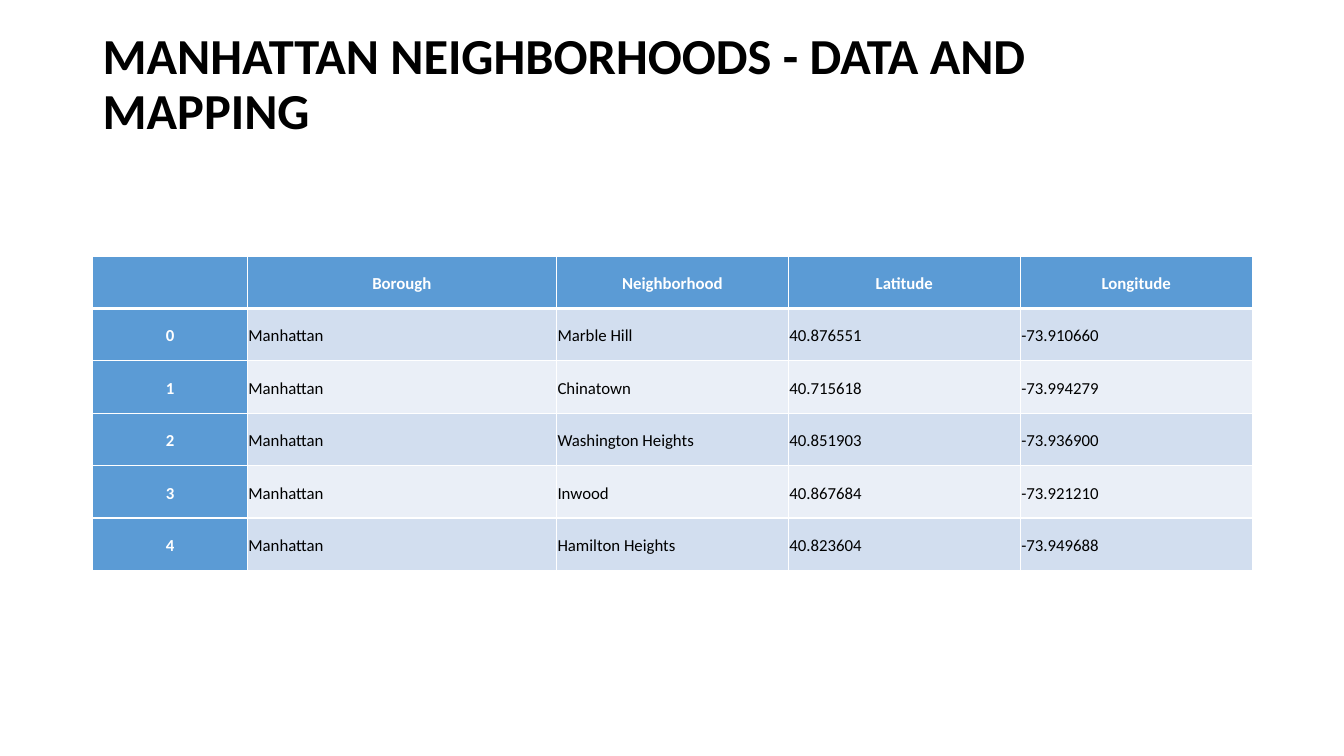
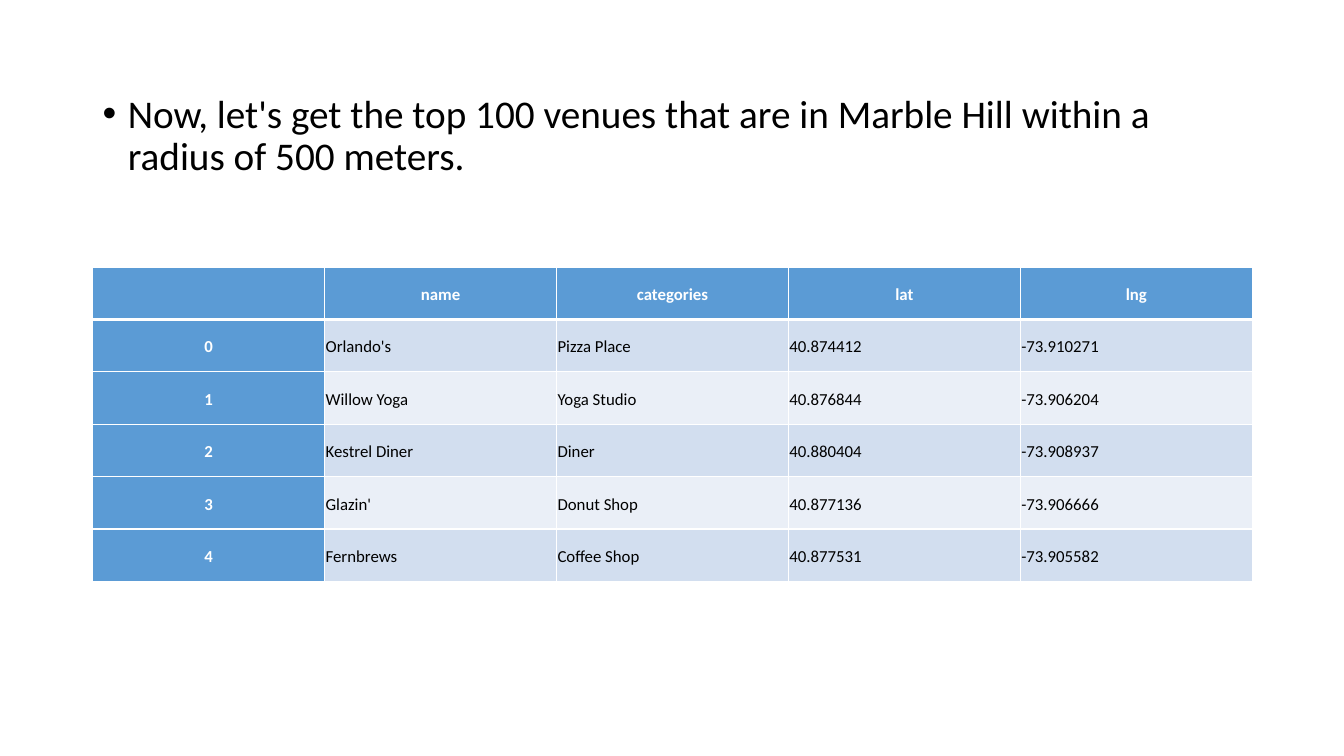
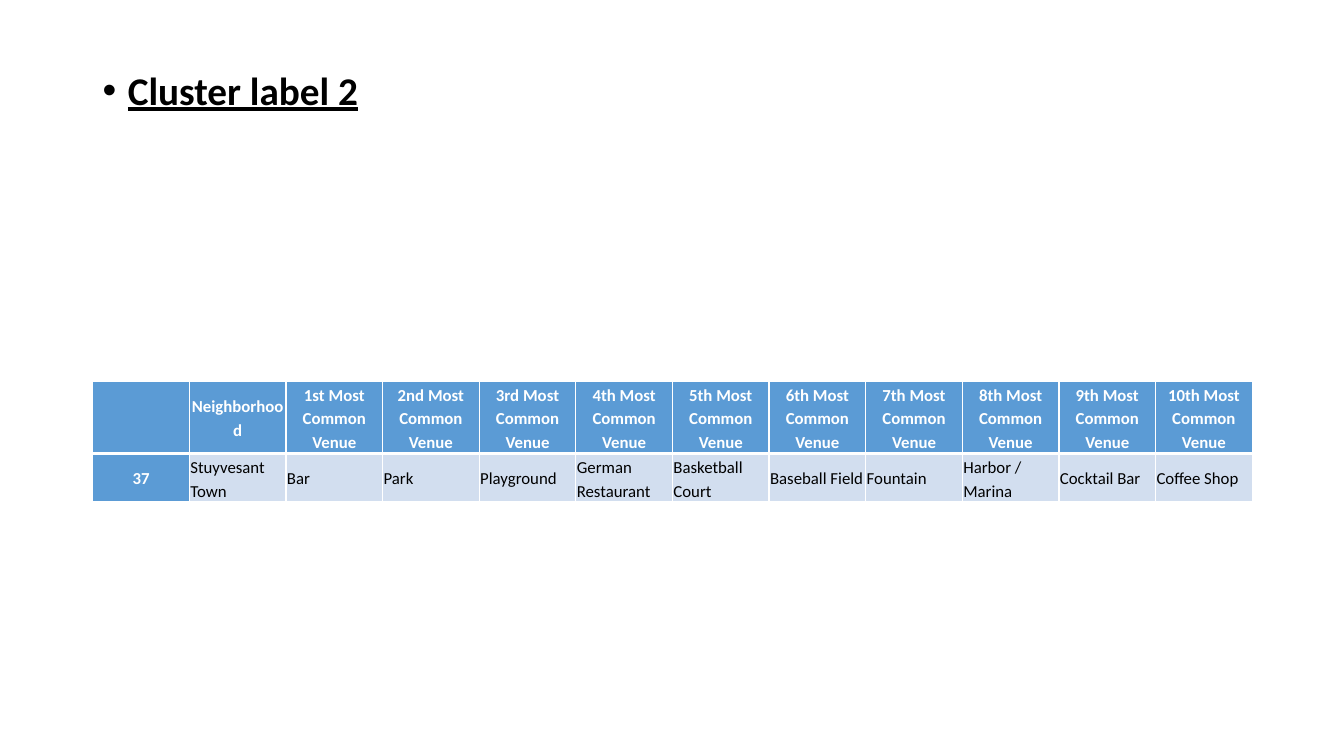
from dataclasses import dataclass

from lxml import etree
from pptx import Presentation
from pptx.dml.color import RGBColor
from pptx.enum.text import MSO_ANCHOR, PP_ALIGN
from pptx.oxml.ns import qn
from pptx.slide import Slide
from pptx.table import _Cell
from pptx.util import Inches, Pt

MIDDLE, TOP = MSO_ANCHOR.MIDDLE, MSO_ANCHOR.TOP
CENTER, LEFT = PP_ALIGN.CENTER, PP_ALIGN.LEFT
COLORS = {"head": "5B9BD5", "odd": "D2DEEF", "even": "EAEFF7",
          "line": "FFFFFF", "light": "FFFFFF", "dark": "000000"}
FONT = "Calibri"
EDGE, WIDTH = 0.92, 11.5
THIN, THICK = 1, 3


@dataclass
class Label:
    """Heading or bullet above a table."""
    text: str
    top: float
    height: float
    size: int = 28
    bold: bool = False
    under: bool = False
    bullet: bool = True


@dataclass
class Grid:
    """Table whose first row and first column are headers."""
    top: float
    shares: list[int]
    heights: list[float]
    rows: list[list[str]]


def style(para, size: int, color: str, bold: bool, under: bool = False) -> None:
    """Format every run of a paragraph."""
    for run in para.runs:
        font = run.font
        font.name, font.size, font.bold = FONT, Pt(size), bold
        font.color.rgb = RGBColor.from_string(COLORS[color])
        if under:
            font.underline = True


def add_label(slide: Slide, label: Label) -> None:
    """Draw a heading or a bullet line."""
    box = slide.shapes.add_textbox(Inches(EDGE), Inches(label.top),
                                   Inches(WIDTH), Inches(label.height))
    frame = box.text_frame
    frame.word_wrap = True
    frame.text = label.text
    para = frame.paragraphs[0]
    para.line_spacing = 0.9
    style(para, label.size, "dark", label.bold, label.under)
    if label.bullet:
        frame.vertical_anchor = TOP
        para.space_before = Pt(10)
        props = para._p.get_or_add_pPr()
        props.set("marL", str(Inches(0.25)))
        props.set("indent", str(Inches(-0.25)))
        etree.SubElement(props, qn("a:buFont")).set("typeface", "Arial")
        etree.SubElement(props, qn("a:buChar")).set("char", "•")
    else:
        frame.vertical_anchor = MIDDLE
        frame.margin_bottom = Inches(0.6)


def add_lines(cell: _Cell, row: int) -> None:
    """Border a cell, with a thick rule under the header row."""
    widths = {"L": THIN, "R": THIN,
              "T": THICK if row == 1 else THIN,
              "B": THICK if row == 0 else THIN}
    props = cell._tc.get_or_add_tcPr()
    for side, width in widths.items():
        line = etree.SubElement(props, qn(f"a:ln{side}"), w=str(Pt(width)))
        fill = etree.SubElement(line, qn("a:solidFill"))
        etree.SubElement(fill, qn("a:srgbClr"), val=COLORS["line"])


def fill_cell(cell: _Cell, text: str, row: int, col: int) -> None:
    """Write and format one cell by its place in the table."""
    head = row == 0 or col == 0
    band = "head" if head else "odd" if row % 2 else "even"
    add_lines(cell, row)
    cell.fill.solid()
    cell.fill.fore_color.rgb = RGBColor.from_string(COLORS[band])
    cell.vertical_anchor = MIDDLE
    cell.margin_left = cell.margin_right = Inches(0.01)
    cell.margin_top = cell.margin_bottom = Inches(0.01)
    cell.text = text
    para = cell.text_frame.paragraphs[0]
    para.alignment = CENTER if head else LEFT
    para.line_spacing = 1.15
    style(para, 12, "light" if head else "dark", head)


def add_grid(slide: Slide, grid: Grid) -> None:
    """Draw a table with columns sized by their shares."""
    table = slide.shapes.add_table(
        len(grid.rows), len(grid.shares), Inches(EDGE), Inches(grid.top),
        Inches(WIDTH), Inches(sum(grid.heights))).table
    for col, share in zip(table.columns, grid.shares):
        col.width = Inches(WIDTH * share / sum(grid.shares))
    for row, height in zip(table.rows, grid.heights):
        row.height = Inches(height)
    for r, texts in enumerate(grid.rows):
        for c, text in enumerate(texts):
            fill_cell(table.cell(r, c), text, r, c)


RANKS = ["1st", "2nd", "3rd"] + [f"{n}th" for n in range(4, 11)]

PAGES = [
    (Label("MANHATTAN NEIGHBORHOODS - DATA AND MAPPING", 0.4, 1.45,
           size=36, bold=True, bullet=False),
     Grid(2.54, [2, 4, 3, 3, 3], [0.52] * 6, [
         ["", "Borough", "Neighborhood", "Latitude", "Longitude"],
         ["0", "Manhattan", "Marble Hill", "40.876551", "-73.910660"],
         ["1", "Manhattan", "Chinatown", "40.715618", "-73.994279"],
         ["2", "Manhattan", "Washington Heights", "40.851903", "-73.936900"],
         ["3", "Manhattan", "Inwood", "40.867684", "-73.921210"],
         ["4", "Manhattan", "Hamilton Heights", "40.823604", "-73.949688"],
     ])),
    (Label("Now, let's get the top 100 venues that are in Marble Hill "
           "within a radius of 500 meters.", 0.89, 5.87),
     Grid(2.65, [1] * 5, [0.52] * 6, [
         ["", "name", "categories", "lat", "lng"],
         ["0", "Orlando's", "Pizza Place", "40.874412", "-73.910271"],
         ["1", "Willow Yoga", "Yoga Studio", "40.876844", "-73.906204"],
         ["2", "Kestrel Diner", "Diner", "40.880404", "-73.908937"],
         ["3", "Glazin'", "Donut Shop", "40.877136", "-73.906666"],
         ["4", "Fernbrews", "Coffee Shop", "40.877531", "-73.905582"],
     ])),
    (Label("Cluster label 2", 0.66, 6.09, bold=True, under=True),
     Grid(3.78, [1] * 12, [0.72, 0.48], [
         ["", "Neighborhood"] + [f"{rank} Most Common Venue" for rank in RANKS],
         ["37", "Stuyvesant Town", "Bar", "Park", "Playground",
          "German Restaurant", "Basketball Court", "Baseball Field",
          "Fountain", "Harbor / Marina", "Cocktail Bar", "Coffee Shop"],
     ])),
]


def main() -> None:
    """Build and save the slides."""
    deck = Presentation()
    deck.slide_width, deck.slide_height = Inches(13.33), Inches(7.5)
    for label, grid in PAGES:
        slide = deck.slides.add_slide(deck.slide_layouts[6])
        add_label(slide, label)
        add_grid(slide, grid)
    deck.save("out.pptx")


main()
